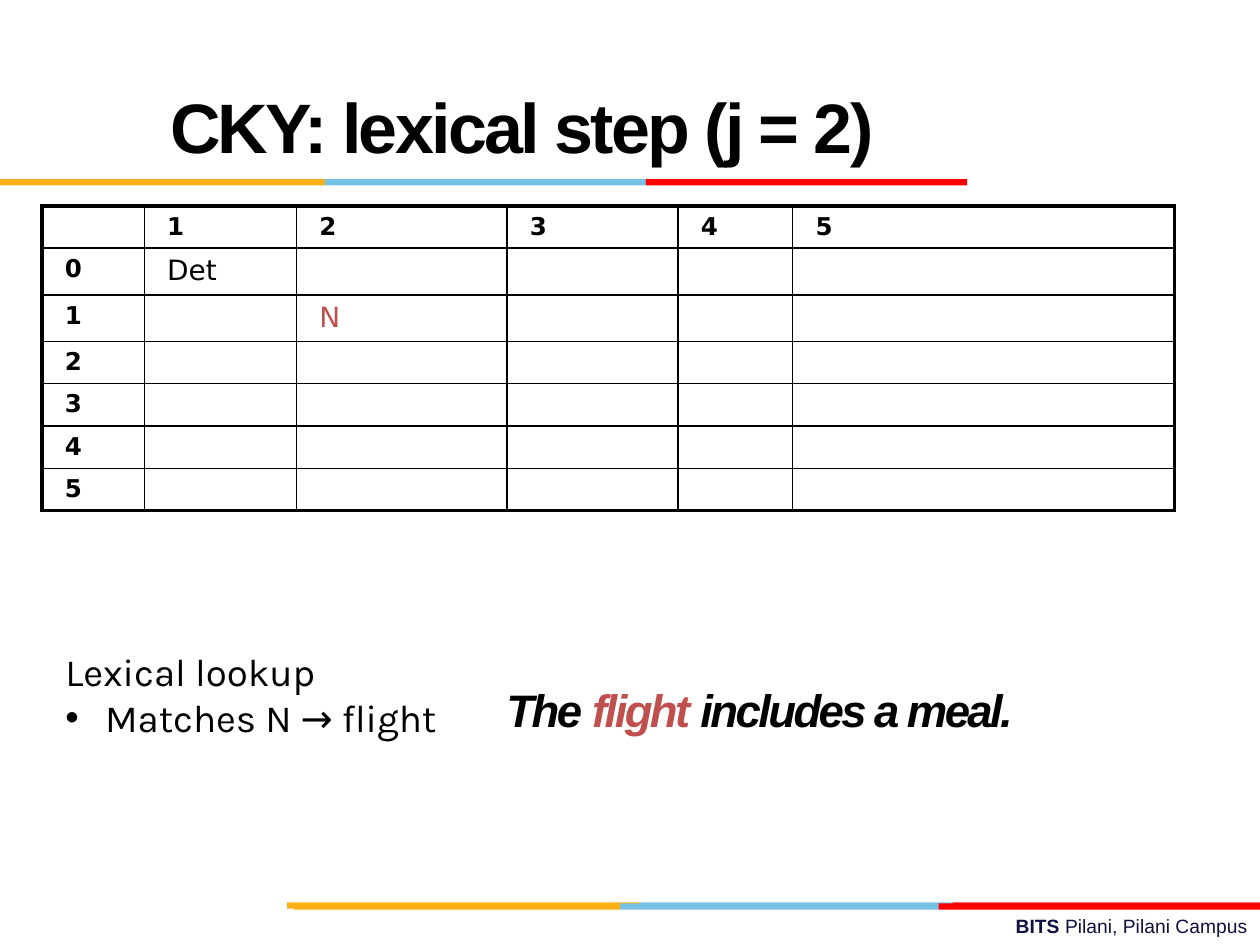
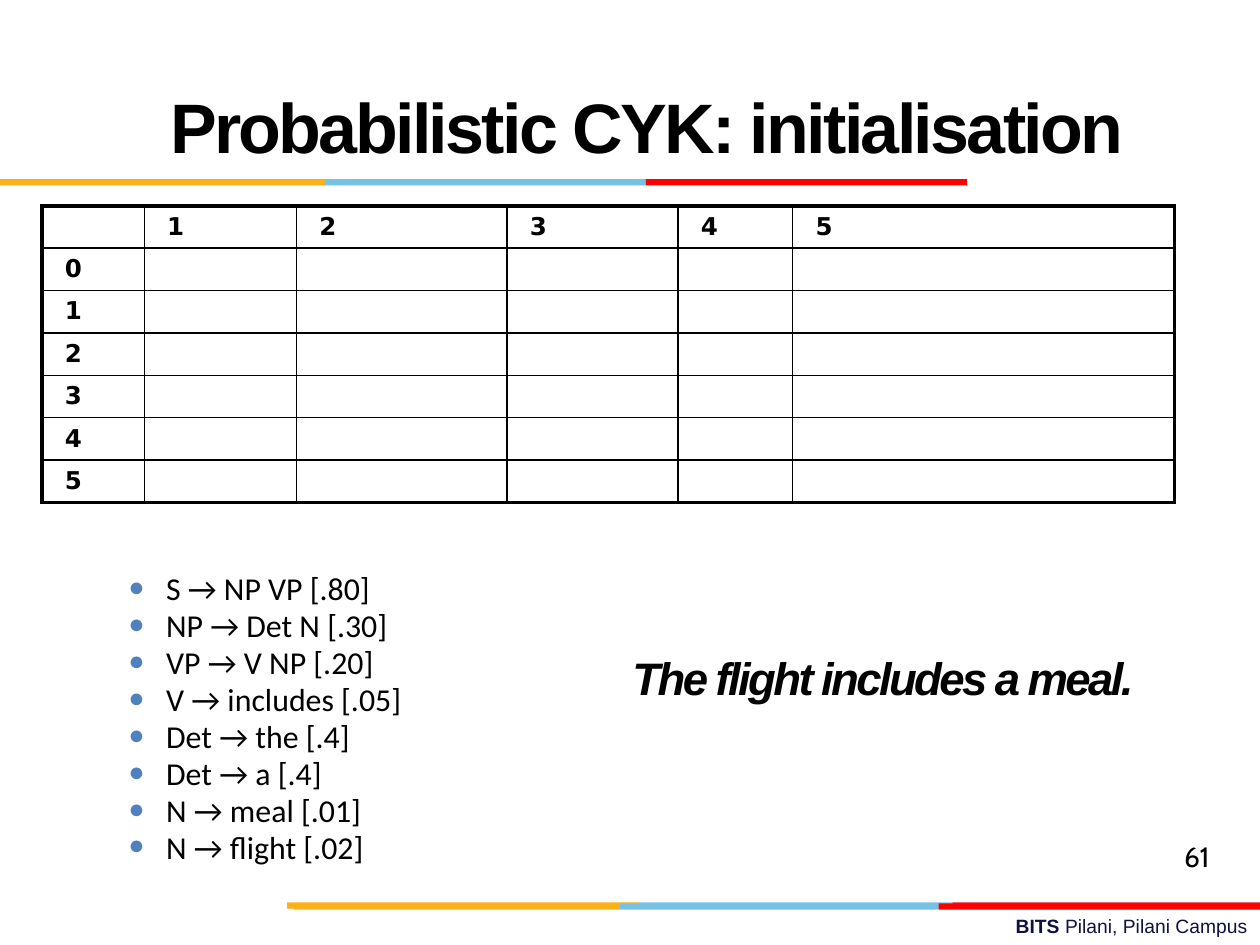
from itertools import pairwise

from lxml.etree import SubElement
from pptx import Presentation
from pptx.dml.color import RGBColor
from pptx.enum.shapes import MSO_SHAPE
from pptx.enum.text import MSO_ANCHOR, PP_ALIGN
from pptx.oxml.ns import qn
from pptx.util import Cm, Pt

BLACK, NAVY, HIGHLIGHT, BULLET_BLUE = "000000", "101141", "C0504D", "4F81BD"
ORANGE, SKY, CRIMSON, RED = "FCB017", "76C2E5", "E31C24", "FF0000"

# Each band: top, edges of its three strips, their colours
BANDS = [
    (18.19, (5.79, 12.9, 19.2, 25.4), (ORANGE, SKY, CRIMSON)),
    (18.21, (5.92, 12.5, 18.92, 25.4), (ORANGE, SKY, RED)),
    (3.61, (0, 6.55, 13.02, 19.5), (ORANGE, SKY, RED)),
]
BAND_HEIGHT = 0.13

COLUMN_WIDTHS = (2.06, 3.07, 4.24, 3.45, 2.31, 7.7)
ROW_HEIGHT, FILLED_ROW_HEIGHT = 0.85, 0.93
POSITIONS = range(6)  # word boundaries of the sentence

# Each step: title, chart entries {(row, column): (symbol, colour)},
# sentence runs, left and top of the sentence
STEPS = [
    ("CKY: lexical step (j = 2)",
     {(1, 1): ("Det", BLACK), (2, 2): ("N", HIGHLIGHT)},
     ("The ", "flight", " includes a meal."), 9.96, 12.7),
    ("Probabilistic CYK: initialisation", {},
     ("The flight includes a meal.",), 12.5, 12.07),
]

RULES = [
    "S → NP VP [.80]", "NP → Det N [.30]", "VP → V NP [.20]",
    "V → includes [.05]", "Det → the [.4]", "Det → a [.4]",
    "N → meal [.01]", "N → flight [.02]",
]


def rgb(value):
    return RGBColor.from_string(value)


def add_text(slide, box, lines, font, size, colour=BLACK, bold=False,
             italic=False, spacing=0, anchor=MSO_ANCHOR.TOP):
    """Add a text box; each line is a sequence of run texts. Return its paragraphs."""
    frame = slide.shapes.add_textbox(*map(Cm, box)).text_frame
    frame.word_wrap = True
    frame.vertical_anchor = anchor
    for index, line in enumerate(lines):
        paragraph = frame.add_paragraph() if index else frame.paragraphs[0]
        for text in line:
            run = paragraph.add_run()
            run.text = text
            run.font.name, run.font.size = font, Pt(size)
            run.font.bold, run.font.italic = bold, italic
            run.font.color.rgb = rgb(colour)
            if spacing:
                run._r.get_or_add_rPr().set("spc", str(round(spacing * 100)))
    return frame.paragraphs


prs = Presentation()
prs.slide_width, prs.slide_height = Cm(25.4), Cm(19.05)

sentences = []
for title, entries, sentence, sentence_left, sentence_top in STEPS:
    slide = prs.slides.add_slide(prs.slide_layouts[6])

    # Footer and coloured bands
    footer = add_text(slide, (9.1, 18.31, 16.3, 0.74),
                      [("BITS ", "Pilani, Pilani Campus")], "Arial", 11, NAVY)
    footer[0].alignment = PP_ALIGN.RIGHT
    footer[0].runs[0].font.bold = True
    for top, edges, colours in BANDS:
        for (left, right), colour in zip(pairwise(edges), colours):
            strip = slide.shapes.add_shape(
                MSO_SHAPE.RECTANGLE, Cm(left), Cm(top), Cm(right - left), Cm(BAND_HEIGHT))
            strip.shadow.inherit = False
            strip.fill.solid()
            strip.fill.fore_color.rgb = rgb(colour)
            strip.line.fill.background()

    # Parse chart: positions along the top and down the side
    labels = {(0, n): str(n) for n in POSITIONS if n}
    labels |= {(n + 1, 0): str(n) for n in POSITIONS}
    filled_rows = {row for row, _ in entries}
    heights = [FILLED_ROW_HEIGHT if row in filled_rows else ROW_HEIGHT
               for row in range(len(POSITIONS) + 1)]
    last_row, last_column = len(heights) - 1, len(COLUMN_WIDTHS) - 1
    chart = slide.shapes.add_table(
        len(heights), len(COLUMN_WIDTHS), Cm(0.85), Cm(4.15),
        Cm(sum(COLUMN_WIDTHS)), Cm(sum(heights))).table
    chart.first_row = chart.horz_banding = False
    for column, width in zip(chart.columns, COLUMN_WIDTHS):
        column.width = Cm(width)
    for row, height in zip(chart.rows, heights):
        row.height = Cm(height)
    for r in range(last_row + 1):
        for c in range(last_column + 1):
            cell = chart.cell(r, c)
            cell.margin_left = cell.margin_right = Cm(0.46)
            cell.margin_top = cell.margin_bottom = Cm(0.13)
            paragraph = cell.text_frame.paragraphs[0]
            symbol, colour = entries.get((r, c), (labels.get((r, c)), BLACK))
            if symbol:
                paragraph.text = symbol
                font = paragraph.runs[0].font
                font.name = "DejaVu Sans"
                font.size = Pt(16 if (r, c) in entries else 14)
                font.bold = (r, c) in labels
                font.color.rgb = rgb(colour)
            else:
                SubElement(paragraph._p, qn("a:endParaRPr"), sz="1200")
            properties = cell._tc.get_or_add_tcPr()
            outer_sides = {"L": c == 0, "R": c == last_column,
                           "T": r == 0, "B": r == last_row}
            for side, is_outer in outer_sides.items():
                border = SubElement(properties, qn(f"a:ln{side}"),
                                    w=str(Pt(2.25 if is_outer else 1)))
                fill = SubElement(border, qn("a:solidFill"))
                SubElement(fill, qn("a:srgbClr"), val=BLACK)
            cell.fill.background()

    # Sentence and title
    sentences += add_text(
        slide, (sentence_left, sentence_top, 25.4 - sentence_left, 3.18), [sentence],
        "Arial", 26, bold=True, italic=True, spacing=-1.5, anchor=MSO_ANCHOR.MIDDLE)
    add_text(slide, (3.18, 0.84, 22.22, 3.38), [(title,)], "Arial", 40,
             bold=True, spacing=-1.5, anchor=MSO_ANCHOR.MIDDLE)

sentences[0].runs[1].font.color.rgb = rgb(HIGHLIGHT)
lexical_slide, probabilistic_slide = prs.slides

lookup = add_text(lexical_slide, (1.07, 12.93, 8.25, 2.2),
                  [("Lexical lookup",), ("Matches N → flight",)], "Karla", 22)
grammar = add_text(probabilistic_slide, (2.34, 11.56, 7.82, 6.2),
                   [(rule,) for rule in RULES], "Calibri", 18.2)
add_text(probabilistic_slide, (23.62, 16.79, 1.3, 0.94), [("61",)], "Cabin", 16)

for index, paragraph in enumerate(grammar):
    paragraph.line_spacing = 0.7
    if index:
        paragraph.space_before = Pt(5.8)

for paragraphs, indent, mark, colour, percent in (
        (lookup[1:], 0.8, "•", BLACK, 100), (grammar, 0.76, "●", BULLET_BLUE, 85)):
    for paragraph in paragraphs:
        properties = paragraph._p.get_or_add_pPr()
        properties.set("marL", str(Cm(indent)))
        properties.set("indent", str(-Cm(indent)))
        bullet_colour = SubElement(properties, qn("a:buClr"))
        SubElement(bullet_colour, qn("a:srgbClr"), val=colour)
        SubElement(properties, qn("a:buSzPct"), val=str(percent * 1000))
        SubElement(properties, qn("a:buFont"), typeface="Arial")
        SubElement(properties, qn("a:buChar"), char=mark)

prs.save("out.pptx")
